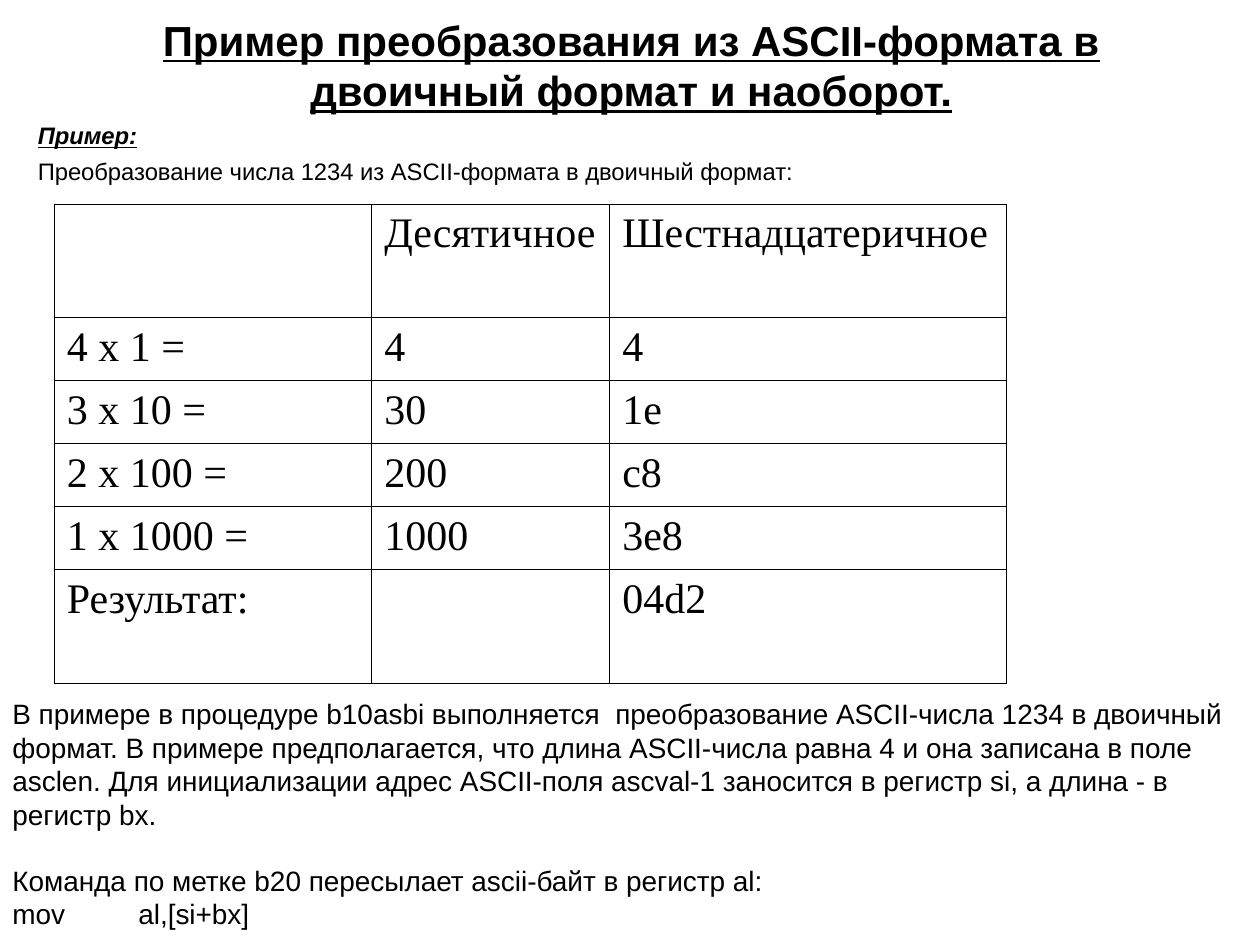
from lxml import etree
from pptx import Presentation
from pptx.dml.color import RGBColor
from pptx.enum.text import MSO_ANCHOR, MSO_AUTO_SIZE, PP_ALIGN
from pptx.oxml.ns import qn
from pptx.util import Inches, Pt

CENTER, JUSTIFY, LEFT = PP_ALIGN.CENTER, PP_ALIGN.JUSTIFY, PP_ALIGN.LEFT
TOP, MIDDLE = MSO_ANCHOR.TOP, MSO_ANCHOR.MIDDLE
NO_AUTOFIT = MSO_AUTO_SIZE.NONE
BLACK, WHITE = "000000", "FFFFFF"
SANS, SERIF = "Arial", "Times New Roman"

TITLE = "Пример преобразования из ASCII-формата в двоичный формат и наоборот."
INTRODUCTION = [
    "Пример:",
    "Преобразование числа 1234 из ASCII-формата в двоичный формат:",
]
ROWS = [
    ("", "Десятичное", "Шестнадцатеричное"),
    ("4 х 1 =", "4", "4"),
    ("3 х 10 =", "30", "1e"),
    ("2 х 100 =", "200", "c8"),
    ("1 х 1000 =", "1000", "3e8"),
    ("Результат:", "", "04d2"),
]
COLUMN_WIDTHS = [2.52, 1.89, 3.15]
ROW_HEIGHTS = [0.9, 0.5, 0.5, 0.5, 0.5, 0.9]
EXPLANATION = [
    "В примере в процедуре b10asbi выполняется  преобразование ASCII-числа 1234 "
    "в двоичный формат. В примере предполагается, что длина ASCII-числа равна 4 "
    "и она записана в поле asclen. Для инициализации адрес ASCII-поля ascval-1 "
    "заносится в регистр si, а длина - в регистр bx.",
    "Команда по метке b20 пересылает ascii-байт в регистр al:",
    "mov\tal,[si+bx]",
]


def color(value):
    return RGBColor.from_string(value)


def inches(box):
    return [Inches(length) for length in box]


def place(shape, box):
    shape.left, shape.top, shape.width, shape.height = inches(box)


def format_paragraph(paragraph, font, size, alignment=LEFT, bold=False,
                     italic=False, underline=False):
    paragraph.alignment = alignment
    for run in paragraph.runs:
        run.font.name = font
        run.font.size = Pt(size)
        run.font.color.rgb = color(BLACK)
        run.font.bold = bold
        run.font.italic = italic
        run.font.underline = underline


def set_hanging_indent(paragraph):
    properties = paragraph._p.get_or_add_pPr()
    properties.set("marL", str(Inches(0.38)))
    properties.set("indent", str(Inches(-0.38)))
    etree.SubElement(properties, qn("a:buNone"))


def add_tab_stop(paragraph, position):
    properties = paragraph._p.get_or_add_pPr()
    tabs = etree.SubElement(properties, qn("a:tabLst"))
    etree.SubElement(tabs, qn("a:tab"), pos=str(Inches(position)), algn="l")


def set_borders(cell, width):
    properties = cell._tc.get_or_add_tcPr()
    for side in ("lnL", "lnR", "lnT", "lnB"):
        line = etree.SubElement(properties, qn(f"a:{side}"), w=str(Pt(width)))
        fill = etree.SubElement(line, qn("a:solidFill"))
        etree.SubElement(fill, qn("a:srgbClr"), val=BLACK)


def fill_title(slide, box):
    title = slide.shapes.title
    place(title, box)
    text_frame = title.text_frame
    text_frame.text = TITLE
    text_frame.auto_size = NO_AUTOFIT
    text_frame.vertical_anchor = MIDDLE
    format_paragraph(text_frame.paragraphs[0], SANS, 24, CENTER,
                     bold=True, underline=True)


def fill_introduction(slide, box):
    body = slide.placeholders[1]
    place(body, box)
    text_frame = body.text_frame
    text_frame.text = "\n".join(INTRODUCTION)
    text_frame.auto_size = NO_AUTOFIT
    text_frame.vertical_anchor = TOP
    for index, paragraph in enumerate(text_frame.paragraphs):
        heading = index == 0
        format_paragraph(paragraph, SANS, 13.6, bold=heading,
                         italic=heading, underline=heading)
        paragraph.space_before = Pt(4)
        set_hanging_indent(paragraph)


def add_conversion_table(slide, box):
    frame = slide.shapes.add_table(len(ROWS), len(COLUMN_WIDTHS), *inches(box))
    table = frame.table
    table.first_row = False
    table.horz_banding = False
    for column, width in zip(table.columns, COLUMN_WIDTHS):
        column.width = Inches(width)
    for row, height, texts in zip(table.rows, ROW_HEIGHTS, ROWS):
        row.height = Inches(height)
        for cell, text in zip(row.cells, texts):
            set_borders(cell, 0.45)
            cell.fill.background()
            if text:
                cell.text_frame.text = text
                paragraph = cell.text_frame.paragraphs[0]
                format_paragraph(paragraph, SERIF, 24, JUSTIFY)
                set_hanging_indent(paragraph)


def add_explanation(slide, box):
    text_frame = slide.shapes.add_textbox(*inches(box)).text_frame
    text_frame.word_wrap = True
    text_frame.text = "\n".join(EXPLANATION)
    for paragraph in text_frame.paragraphs:
        format_paragraph(paragraph, SANS, 16)
    command, code = text_frame.paragraphs[1:]
    command.space_before = Pt(18.4)
    add_tab_stop(code, 1)


def main():
    presentation = Presentation()
    presentation.slide_width = Inches(10)
    presentation.slide_height = Inches(7.5)
    slide = presentation.slides.add_slide(presentation.slide_layouts[1])
    slide.background.fill.solid()
    slide.background.fill.fore_color.rgb = color(WHITE)
    fill_title(slide, (0.51, 0.05, 9, 0.93))
    fill_introduction(slide, (0.2, 0.91, 9.69, 0.63))
    add_conversion_table(slide, (0.43, 1.62, sum(COLUMN_WIDTHS), sum(ROW_HEIGHTS)))
    add_explanation(slide, (0, 5.48, 10, 1.97))
    presentation.save("out.pptx")


if __name__ == "__main__":
    main()
